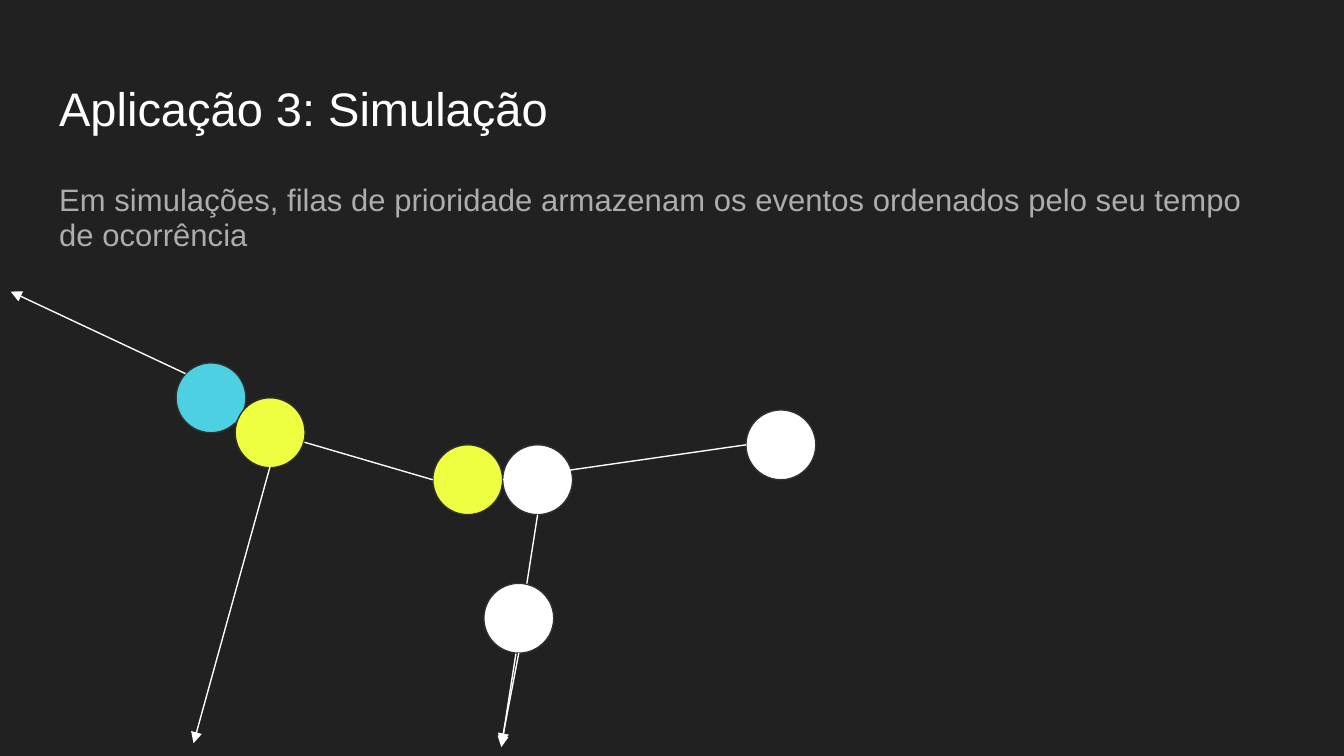
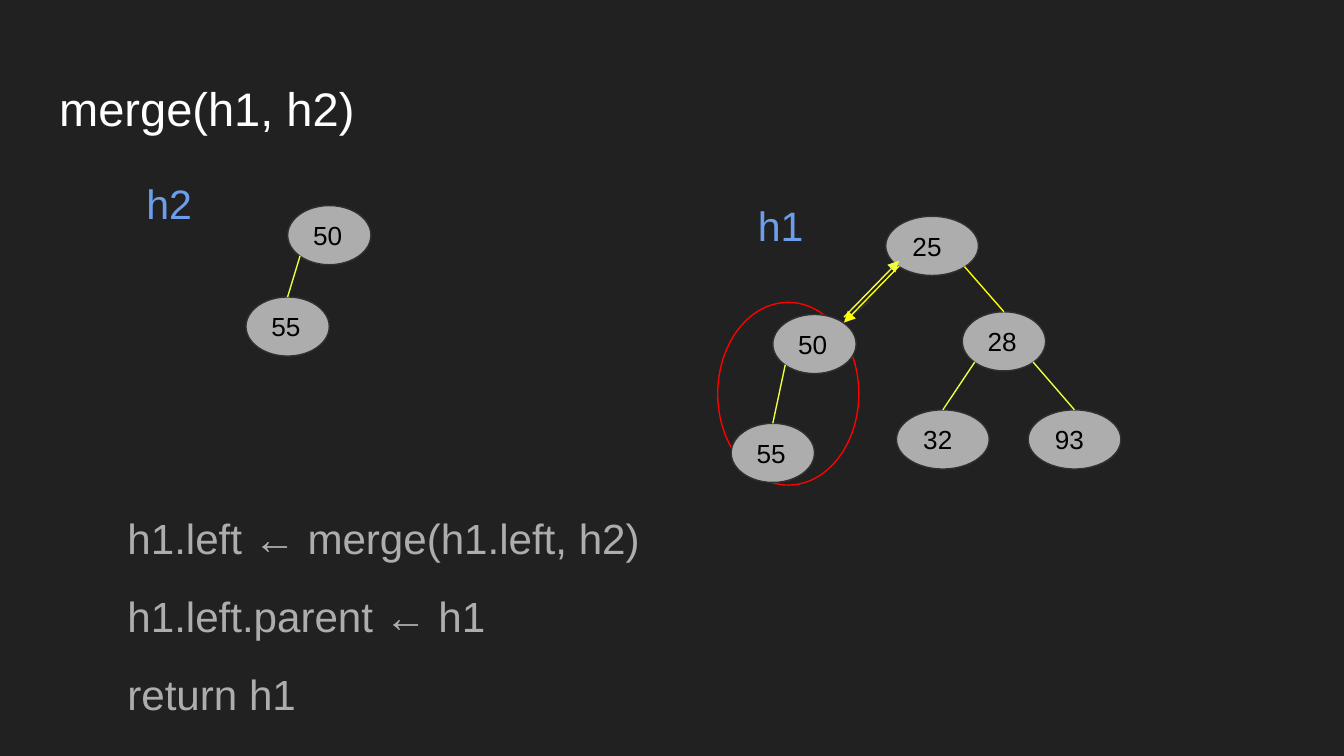
"""Build two dark slides: an event simulation and a heap merge."""
from lxml import etree
from pptx import Presentation
from pptx.dml.color import RGBColor
from pptx.enum.shapes import MSO_CONNECTOR, MSO_SHAPE
from pptx.enum.text import MSO_ANCHOR, MSO_AUTO_SIZE, PP_ALIGN
from pptx.oxml.ns import qn
from pptx.util import Inches, Pt

OVAL = MSO_SHAPE.OVAL
STRAIGHT = MSO_CONNECTOR.STRAIGHT
LEFT = PP_ALIGN.LEFT
TOP, MIDDLE = MSO_ANCHOR.TOP, MSO_ANCHOR.MIDDLE
FIXED, GROW = MSO_AUTO_SIZE.NONE, MSO_AUTO_SIZE.SHAPE_TO_FIT_TEXT

DARK, EDGE, GREY, WHITE, BLACK = "212121", "303030", "ADADAD", "FFFFFF", "000000"
CYAN, LIME, YELLOW, RED, BLUE = "4DD0E1", "EEFF41", "FFFF00", "FF0000", "6D9EEB"
WIDTH = Inches(10)
HEIGHT = WIDTH * 9 // 16
BALL = 0.52
NODE_H = 0.44
CORNER = 0.15


def assign(target, values):
    """Set each attribute named in a dict."""
    for name, value in values.items():
        setattr(target, name, value)


def paint(fill, color):
    """Make a fill solid in a hex colour."""
    fill.solid()
    fill.fore_color.rgb = RGBColor.from_string(color)


def write(shape, text, size, color, anchor=TOP, fit=FIXED, **para):
    """Put one formatted paragraph in a shape."""
    frame = shape.text_frame
    margins = dict.fromkeys(
        ("margin_left", "margin_top", "margin_right", "margin_bottom"), Inches(0.1))
    assign(frame, {**margins, "word_wrap": True, "auto_size": fit,
                   "vertical_anchor": anchor})
    line = frame.paragraphs[0]
    assign(line, {"alignment": LEFT, "space_before": Pt(0), **para})
    run = line.add_run()
    run.text = text
    assign(run.font, {"size": Pt(size), "name": "Arial"})
    paint(run.font.fill, color)


def place(shape, x, y, w, h):
    """Move and size a shape in inches."""
    assign(shape, {"left": Inches(x), "top": Inches(y),
                   "width": Inches(w), "height": Inches(h)})


def start(deck, layout, title, width):
    """Add a slide with its title."""
    slide = deck.slides.add_slide(deck.slide_layouts[layout])
    place(slide.shapes.title, 0.34, 0.49, width, 0.63)
    write(slide.shapes.title, title, 25.2, WHITE)
    return slide


def body(slide, text):
    """Fill the body placeholder with plain text."""
    shape = slide.placeholders[1]
    place(shape, 0.34, 1.26, 9.25, 0.76)
    write(shape, text, 16.65, GREY, line_spacing=0.95, space_after=Pt(12))
    props = shape.text_frame.paragraphs[0]._p.get_or_add_pPr()
    props.set("marL", "0")
    props.set("indent", "0")
    etree.SubElement(props, qn("a:buNone"))


def label(slide, x, y, w, h, text, size, color, **para):
    """Add a text box that grows with its text."""
    box = slide.shapes.add_textbox(Inches(x), Inches(y), Inches(w), Inches(h))
    write(box, text, size, color, fit=GROW, **para)


def oval(slide, x, y, w, h, fill=None, edge=EDGE):
    """Add an ellipse, hollow when no fill is given."""
    shape = slide.shapes.add_shape(OVAL, Inches(x), Inches(y), Inches(w), Inches(h))
    shape.shadow.inherit = False
    if fill:
        paint(shape.fill, fill)
    else:
        shape.fill.background()
    paint(shape.line.fill, edge)
    shape.line.width = Pt(0.75)
    return shape


def link(slide, begin, end, color=WHITE, arrow=False):
    """Draw a straight line, with an arrowhead at its end if asked."""
    line = slide.shapes.add_connector(STRAIGHT, *map(Inches, begin + end))
    paint(line.line.fill, color)
    line.line.width = Pt(0.75)
    if arrow:
        etree.SubElement(line.line._ln, qn("a:tailEnd"), type="triangle")
    etree.SubElement(line._element.spPr, qn("a:effectLst"))


def node(slide, x, y, key, w=0.62):
    """Add a tree node and return its place."""
    write(oval(slide, x, y, w, NODE_H, GREY), key, 14, BLACK, MIDDLE)
    return x, y, w


def branch(slide, parent, child, color=LIME):
    """Join a parent's lower corner to the top of its child."""
    x, y, w = parent
    mid = child[0] + child[2] / 2
    part = CORNER if mid < x + w / 2 else 1 - CORNER
    link(slide, (x + w * part, y + NODE_H * (1 - CORNER)), (mid, child[1]), color)


def pair(slide, top, low):
    """Add node 50 with its left child 55."""
    root, leaf = node(slide, *top, "50"), node(slide, *low, "55")
    branch(slide, root, leaf)


def events(deck):
    """Build the simulation slide."""
    slide = start(deck, 1, "Aplicação 3: Simulação", 9.32)
    body(slide, "Em simulações, filas de prioridade armazenam os eventos "
                "ordenados pelo seu tempo de ocorrência")
    for x, y, color in ((1.31, 2.7, CYAN), (3.22, 3.31, LIME),
                        (5.55, 3.05, WHITE), (3.74, 3.31, WHITE)):
        oval(slide, x, y, BALL, BALL, color)
    for begin, end in (((5.55, 3.31), (3.74, 3.57)), ((4, 3.83), (3.73, 5.56)),
                       ((3.22, 3.57), (1.75, 3.14))):
        link(slide, begin, end, arrow=True)
    for x, y, color in ((3.6, 4.34, WHITE), (1.75, 2.96, LIME)):
        oval(slide, x, y, BALL, BALL, color)
    for begin, end in (((3.86, 4.86), (3.73, 5.54)), ((2.01, 3.47), (1.44, 5.53)),
                       ((1.38, 2.78), (0.08, 2.17))):
        link(slide, begin, end, arrow=True)


def merge(deck):
    """Build the heap merge slide."""
    slide = start(deck, 5, "merge(h1, h2)", 2.69)
    pair(slide, (2.14, 1.53), (1.83, 2.21))
    root = node(slide, 6.59, 1.61, "25", 0.69)
    right = node(slide, 7.16, 2.32, "28")
    leaves = [node(slide, x, 3.05, key, 0.69) for x, key in ((6.67, "32"), (7.65, "93"))]
    branch(slide, root, right, YELLOW)
    for leaf in leaves:
        branch(slide, right, leaf)
    label(slide, 5.54, 1.39, 0.74, 0.57, "h1", 22, BLUE)
    label(slide, 0.99, 1.23, 0.83, 0.57, "h2", 22, BLUE)
    oval(slide, 5.34, 2.25, 1.05, 1.36, edge=RED)
    steps = (("h1.left ← merge(h1.left, h2)", 4.15),
             ("h1.left.parent ← h1", 3.28), ("return h1", 1.97))
    for i, (text, w) in enumerate(steps):
        label(slide, 0.85, 3.71 + 0.58 * i, w, 0.58, text, 22.6, GREY, space_after=Pt(12))
    pair(slide, (5.75, 2.34), (5.44, 3.15))
    link(slide, (6.47, 2.24), (6.28, 2.4), EDGE)
    link(slide, (6.28, 2.36), (6.69, 1.94), LIME, True)
    link(slide, (6.69, 1.98), (6.28, 2.4), YELLOW, True)


def main():
    """Make the deck and save it."""
    deck = Presentation()
    assign(deck, {"slide_width": WIDTH, "slide_height": HEIGHT})
    paint(deck.slide_master.background.fill, DARK)
    events(deck)
    merge(deck)
    deck.save("out.pptx")


if __name__ == "__main__":
    main()
